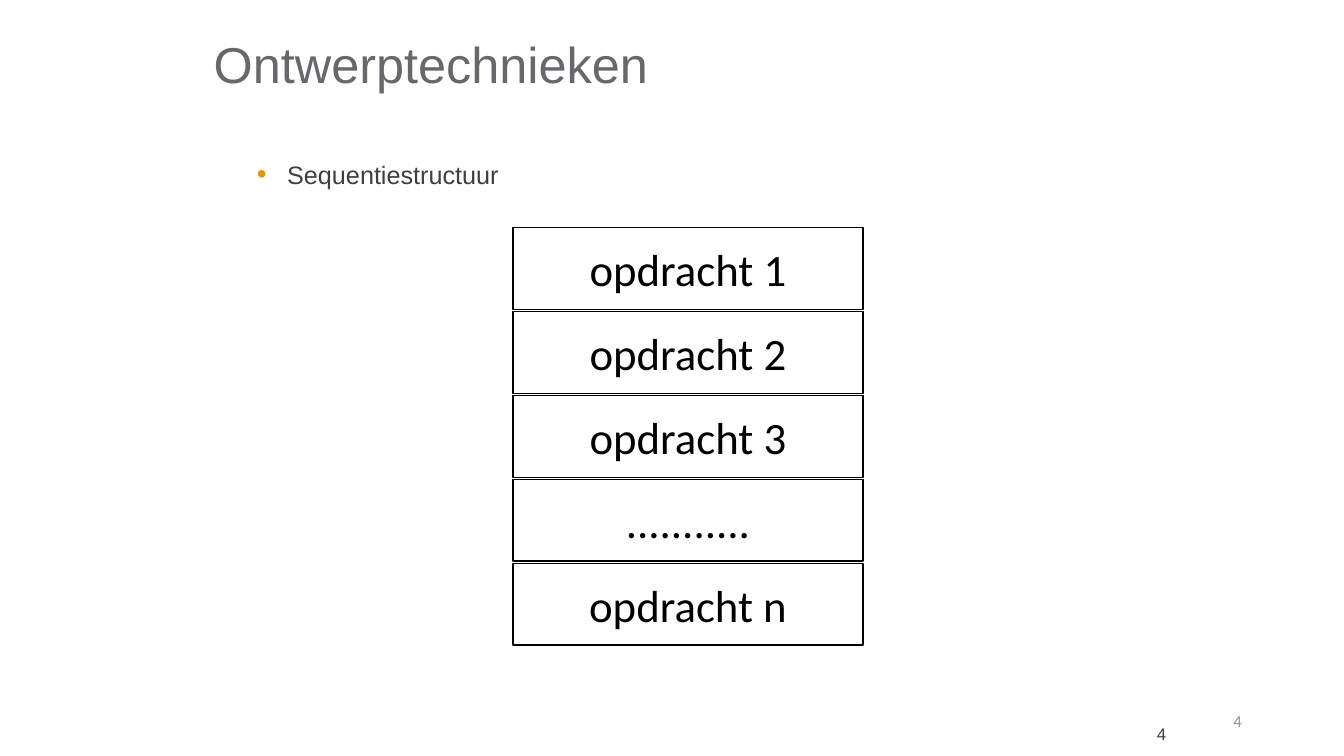
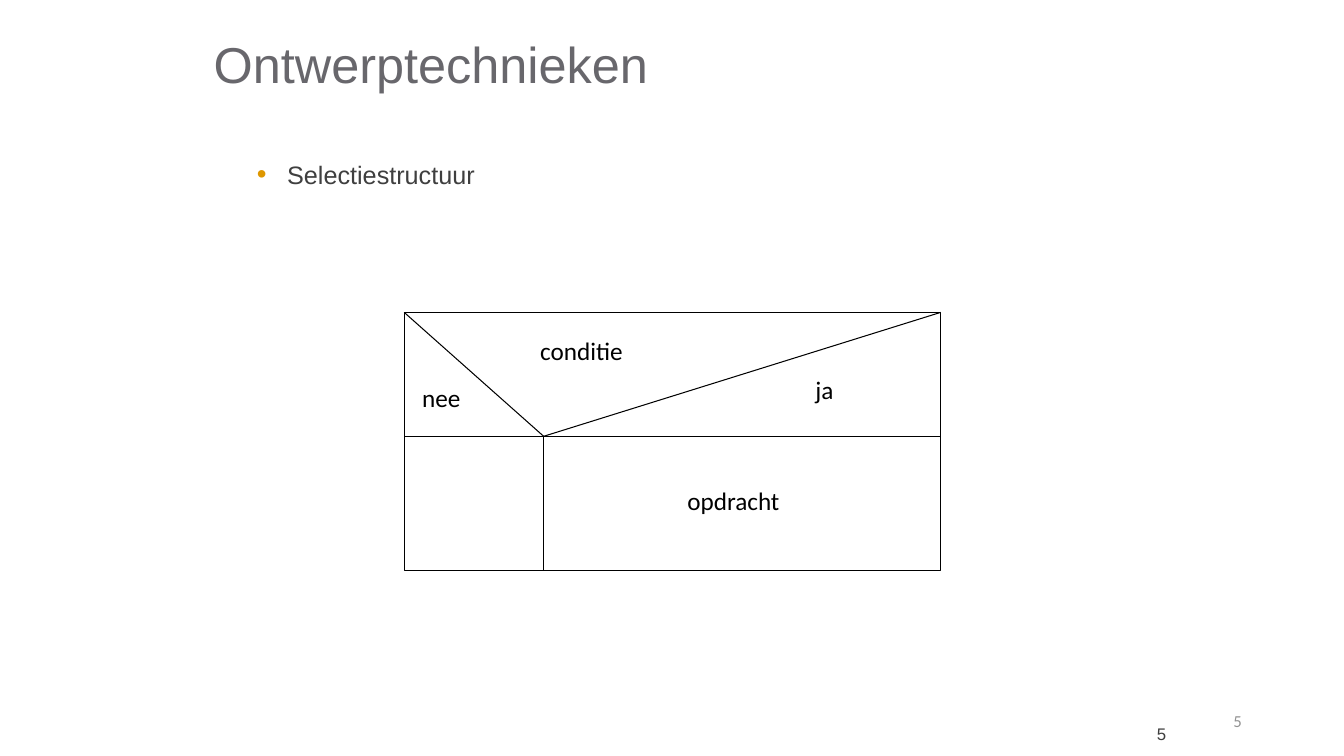
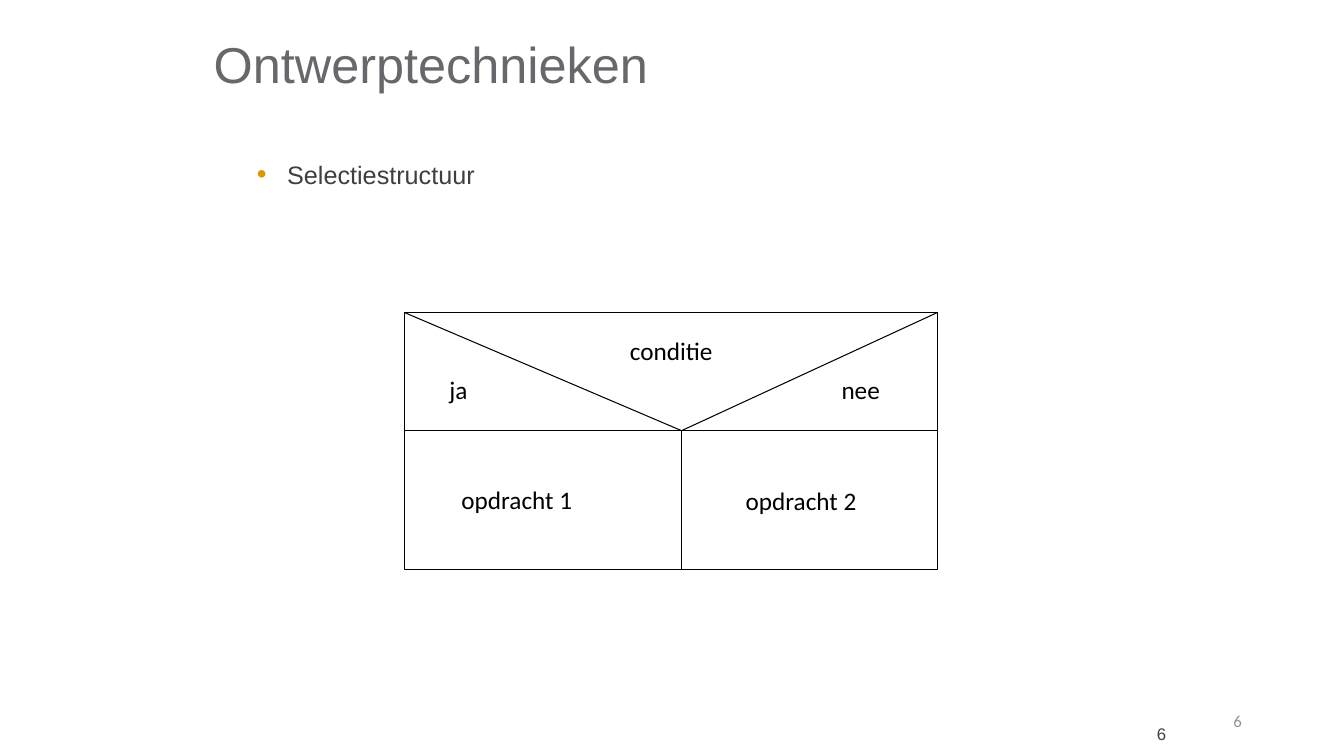
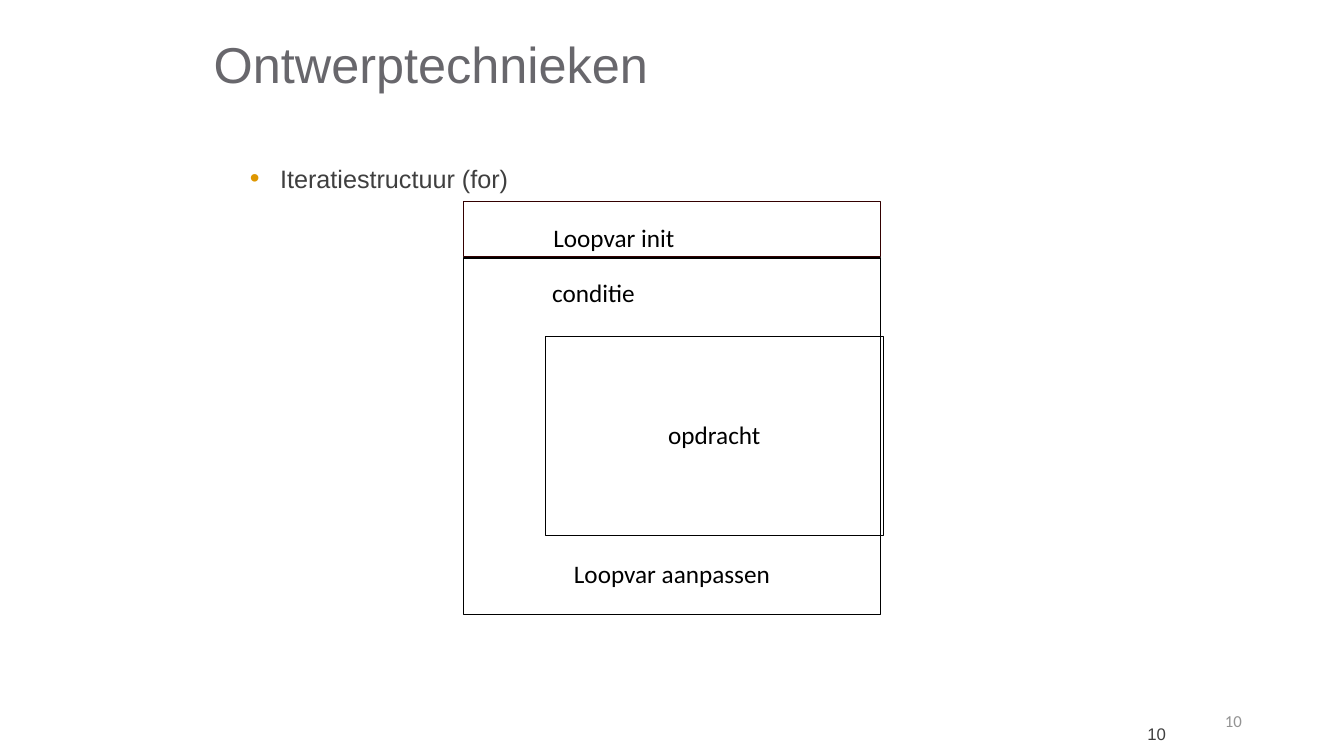
"""Four slides on the structure diagrams used in program design."""
from lxml import etree
from pptx import Presentation
from pptx.dml.color import RGBColor
from pptx.enum.shapes import MSO_CONNECTOR, MSO_SHAPE
from pptx.enum.text import MSO_ANCHOR, PP_ALIGN
from pptx.oxml.ns import qn
from pptx.util import Inches, Pt

LEFT, CENTER, RIGHT = PP_ALIGN.LEFT, PP_ALIGN.CENTER, PP_ALIGN.RIGHT
TOP, MIDDLE = MSO_ANCHOR.TOP, MSO_ANCHOR.MIDDLE
RECTANGLE, ROUNDED = MSO_SHAPE.RECTANGLE, MSO_SHAPE.ROUNDED_RECTANGLE
STRAIGHT = MSO_CONNECTOR.STRAIGHT

COLORS = {
    "title": "68676C",
    "body": "3F3F3F",
    "bullet": "DE9700",
    "number": "939393",
    "ink": "000000",
    "init": "330000",
}
HEADING_FONT, DIAGRAM_FONT = "Arial", "Calibri"
WIDTH, HEIGHT = Inches(13.33), Inches(7.5)
TITLE_ONLY = 5

TITLE_BOX = (15.15, 0, 71.48, 16.67)
INNER_NUMBER_BOX = (70, 94.4, 17.5, 5.33)
OUTER_NUMBER_BOX = (84.22, 92.67, 8.93, 5.33)
TOPIC_SIZE = (24, 5.47)
LABEL_SIZE = (18, 6.2)


def across(percent):
    """Return a share of the slide width."""
    return round(WIDTH * percent / 100)


def down(percent):
    """Return a share of the slide height."""
    return round(HEIGHT * percent / 100)


def place(box):
    """Turn a box in percent of the slide into lengths."""
    left, top, width, height = box
    return across(left), down(top), across(width), down(height)


def color(name):
    """Look up a named colour."""
    return RGBColor.from_string(COLORS[name])


def write(shape, text, size, font, ink, align=LEFT, anchor=TOP, spacing=1.0):
    """Write one formatted run into a shape and return its paragraph."""
    frame = shape.text_frame
    frame.word_wrap = True
    frame.vertical_anchor = anchor
    paragraph = frame.paragraphs[0]
    paragraph.alignment = align
    paragraph.line_spacing = spacing
    run = paragraph.add_run()
    run.text = text
    run.font.size = Pt(size)
    run.font.name = font
    run.font.color.rgb = color(ink)
    return paragraph


def add_text(slide, box, *args, **options):
    """Add a text box and return its paragraph."""
    return write(slide.shapes.add_textbox(*place(box)), *args, **options)


def add_topic(slide, left, top, text):
    """Add the bulleted topic line under the title."""
    paragraph = add_text(slide, (left, top, *TOPIC_SIZE), text, 18, HEADING_FONT, "body")
    properties = paragraph._p.get_or_add_pPr()
    indent = Inches(0.3)
    properties.set("marL", str(indent))
    properties.set("indent", str(-indent))
    bullet_color = etree.SubElement(properties, qn("a:buClr"))
    etree.SubElement(bullet_color, qn("a:srgbClr"), val=COLORS["bullet"])
    etree.SubElement(properties, qn("a:buSzPct"), val="110000")
    etree.SubElement(properties, qn("a:buFont"), typeface=HEADING_FONT)
    etree.SubElement(properties, qn("a:buChar"), char="•")


def add_slide(presentation, number, topic, topic_left=18.38, topic_top=20.4):
    """Add a slide with its title, topic and both slide numbers."""
    slide = presentation.slides.add_slide(presentation.slide_layouts[TITLE_ONLY])
    title = slide.shapes.title
    title.left, title.top, title.width, title.height = place(TITLE_BOX)
    write(title, "Ontwerptechnieken", 36, HEADING_FONT, "title", anchor=MIDDLE)
    add_topic(slide, topic_left, topic_top, topic)
    add_text(slide, INNER_NUMBER_BOX, number, 12, HEADING_FONT, "body", RIGHT, MIDDLE)
    add_text(slide, OUTER_NUMBER_BOX, number, 12, DIAGRAM_FONT, "number", RIGHT, MIDDLE)
    return slide


def add_block(slide, box, kind=ROUNDED, line="ink", weight=0.75):
    """Add an unfilled, square-cornered block."""
    block = slide.shapes.add_shape(kind, *place(box))
    if kind == ROUNDED:
        block.adjustments[0] = 0
    block.shadow.inherit = False
    block.fill.background()
    block.line.color.rgb = color(line)
    block.line.width = Pt(weight)
    return block


def add_line(slide, start, end):
    """Add a thin line between two points in percent of the slide."""
    line = slide.shapes.add_connector(
        STRAIGHT, across(start[0]), down(start[1]), across(end[0]), down(end[1])
    )
    line.line.color.rgb = color("ink")
    line.line.width = Pt(0.75)
    etree.SubElement(line._element.spPr, qn("a:effectLst"))


def add_label(slide, left, top, text, align=LEFT, spacing=0.95):
    """Add a diagram label."""
    box = (left, top, *LABEL_SIZE)
    add_text(slide, box, text, 18, DIAGRAM_FONT, "ink", align, spacing=spacing)


def add_sequence(slide, steps):
    """Stack the steps of a sequence at equal distances."""
    for row, step in enumerate(steps):
        block = add_block(slide, (38.18, 30.13 + 11.1 * row, 26.03, 10.8), RECTANGLE, weight=1)
        write(block, step, 32, DIAGRAM_FONT, "ink", CENTER, MIDDLE)


def add_selection(slide, box, split, labels):
    """Draw a selection whose branches meet at a share of its box."""
    left, top, width, height = box
    right, bottom = left + width, top + height
    middle_x, middle_y = left + width * split[0], top + height * split[1]
    meeting = (middle_x, middle_y)
    add_block(slide, box)
    add_line(slide, (left, middle_y), (right, middle_y))
    for end in ((middle_x, bottom), (left, top), (right, top)):
        add_line(slide, end, meeting)
    for label in labels:
        add_label(slide, *label)


def add_iteration(slide):
    """Draw a counted loop around its inner statement."""
    add_block(slide, (34.5, 34.13, 30.98, 47.2))
    statement = add_block(slide, (40.58, 44.53, 25.13, 26.27))
    write(statement, "opdracht", 18, DIAGRAM_FONT, "ink", CENTER, MIDDLE, 0.95)
    add_block(slide, (34.5, 26.67, 31.05, 7.33), RECTANGLE, "init")
    add_label(slide, 40.43, 28.8, "Loopvar init", spacing=1.0)
    add_label(slide, 40.35, 36, "conditie", spacing=1.0)
    add_label(slide, 41, 73.47, "Loopvar aanpassen", CENTER)


def main():
    """Build and save the presentation."""
    presentation = Presentation()
    presentation.slide_width, presentation.slide_height = WIDTH, HEIGHT

    slide = add_slide(presentation, "4", "Sequentiestructuur")
    add_sequence(slide, ["opdracht 1", "opdracht 2", "opdracht 3", "...........", "opdracht n"])

    slide = add_slide(presentation, "5", "Selectiestructuur")
    add_selection(slide, (30.08, 41.33, 39.9, 34.13), (0.26, 0.48), [
        (39.45, 44, "conditie"),
        (30.68, 50.27, "nee"),
        (59.93, 49.2, "ja"),
        (50.4, 63.87, "opdracht"),
    ])

    slide = add_slide(presentation, "6", "Selectiestructuur")
    add_selection(slide, (30.08, 41.33, 39.68, 34), (0.52, 0.46), [
        (46.13, 44, "conditie"),
        (32.7, 49.2, "ja"),
        (61.88, 49.2, "nee"),
        (33.6, 63.73, "opdracht 1"),
        (54.75, 63.87, "opdracht 2"),
    ])

    slide = add_slide(presentation, "10", "Iteratiestructuur (for)", 17.85, 20.93)
    add_iteration(slide)

    presentation.save("out.pptx")


if __name__ == "__main__":
    main()
